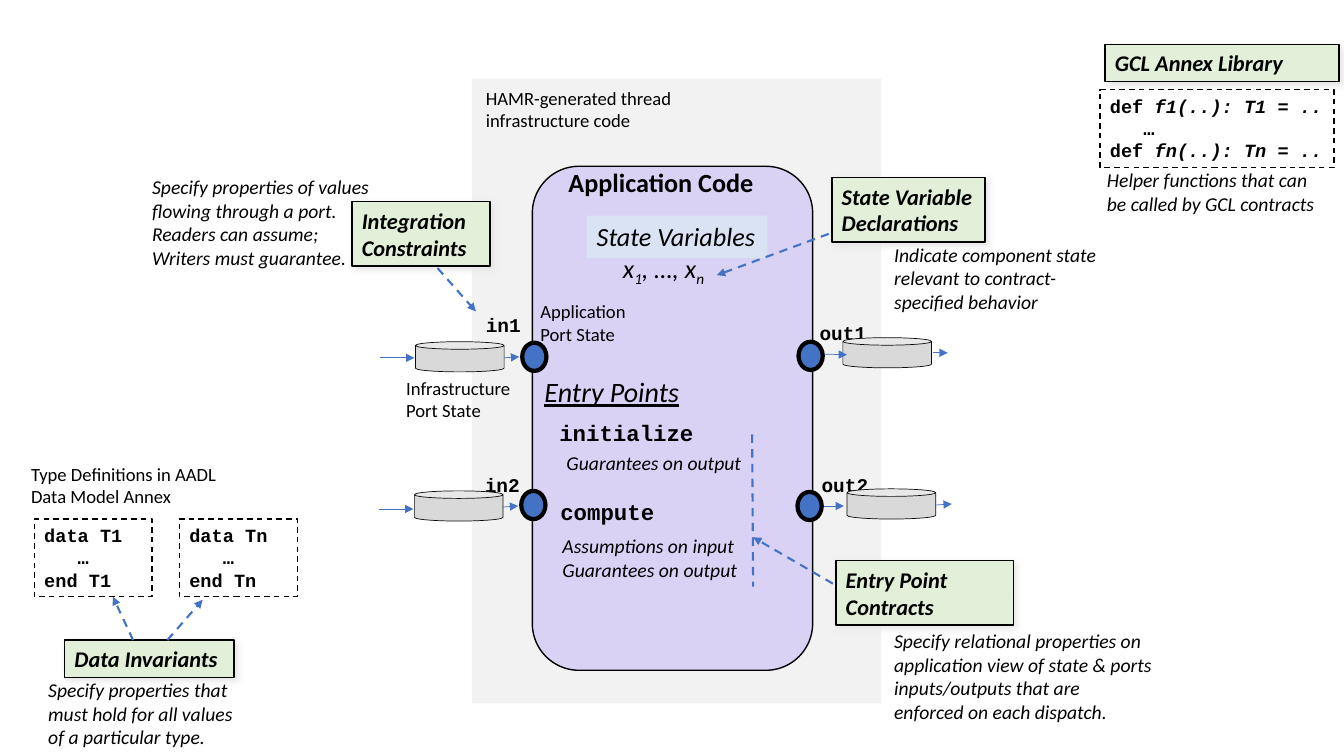
from pptx import Presentation
from pptx.dml.color import RGBColor
from pptx.enum.dml import MSO_LINE
from pptx.enum.shapes import MSO_CONNECTOR, MSO_SHAPE
from pptx.enum.text import MSO_ANCHOR, MSO_AUTO_SIZE, PP_ALIGN
from pptx.oxml.ns import qn
from pptx.util import Inches, Pt
from lxml import etree

RECT, ROUNDED = MSO_SHAPE.RECTANGLE, MSO_SHAPE.ROUNDED_RECTANGLE
OVAL, CAN = MSO_SHAPE.OVAL, MSO_SHAPE.CAN
STRAIGHT, DASH = MSO_CONNECTOR.STRAIGHT, MSO_LINE.DASH
LEFT, TOP, MIDDLE = PP_ALIGN.LEFT, MSO_ANCHOR.TOP, MSO_ANCHOR.MIDDLE
GROW = MSO_AUTO_SIZE.SHAPE_TO_FIT_TEXT

BLACK = RGBColor(0x00, 0x00, 0x00)
NEAR_BLACK = RGBColor(0x0D, 0x0D, 0x0D)
BLUE = RGBColor(0x44, 0x72, 0xC4)
PALE_BLUE = RGBColor(0xDA, 0xE3, 0xF3)
LILAC = RGBColor(0xDA, 0xD2, 0xF5)
GREEN = RGBColor(0xE2, 0xF0, 0xD9)
LIGHT_GRAY = RGBColor(0xF2, 0xF2, 0xF2)
PORT_GRAY = RGBColor(0xD9, 0xD9, 0xD9)
SHADOW_GRAY = RGBColor(0xE7, 0xE6, 0xE6)

SANS, MONO = "Calibri", "Courier New"
SUBSCRIPT = -25000


def write(para, text, font=SANS, size=14, bold=False, italic=False,
          underline=False, baseline=0):
    span = para.add_run()
    span.text = text
    span.font.name = font
    span.font.size = Pt(size)
    span.font.bold = bold
    span.font.italic = italic
    span.font.underline = underline
    span.font.color.rgb = BLACK
    if baseline:
        span.font._element.set("baseline", str(baseline))


class Diagram:
    def __init__(self, page):
        self.page = page

    def shape(self, kind, place, fill=None, line=None, width=1, dash=False):
        shape = self.page.shapes.add_shape(kind, *map(Inches, place))
        shape.shadow.inherit = False
        if fill is None:
            shape.fill.background()
        else:
            shape.fill.solid()
            shape.fill.fore_color.rgb = fill
        if line is None:
            shape.line.fill.background()
        else:
            shape.line.color.rgb = line
            shape.line.width = Pt(width)
            if dash:
                shape.line.dash_style = DASH
        return shape

    def fill_text(self, box, lines, wrap=True, anchor=TOP, **style):
        frame = box.text_frame
        frame.word_wrap = wrap
        frame.auto_size = GROW
        frame.vertical_anchor = anchor
        for index, line in enumerate(lines):
            para = frame.add_paragraph() if index else frame.paragraphs[0]
            para.alignment = LEFT
            spans = [(line, {})] if isinstance(line, str) else line
            for text, change in spans:
                write(para, text, **{**style, **change})

    def text(self, place, *lines, **style):
        box = self.page.shapes.add_textbox(*map(Inches, place))
        self.fill_text(box, lines, **style)

    def note(self, place, *lines, **style):
        self.text(place, *lines, italic=True, **style)

    def caption(self, place, *lines):
        self.text(place, *lines, size=13.3)

    def callout(self, place, title):
        box = self.shape(RECT, place, GREEN, BLACK)
        effects = box._element.spPr.find(qn("a:effectLst"))
        shadow = etree.SubElement(effects, qn("a:outerShdw"), blurRad=str(Pt(5)),
                                  dist=str(Pt(2.8)), dir="2700000", algn="tl")
        etree.SubElement(shadow, qn("a:srgbClr"), val=str(SHADOW_GRAY))
        self.fill_text(box, [title], anchor=MIDDLE, size=16, bold=True, italic=True)

    def code(self, place, *lines):
        box = self.shape(RECT, place, line=BLACK, dash=True)
        self.fill_text(box, lines, font=MONO, size=13.3, bold=True)

    def line(self, start, end, dash=False, arrow=True):
        line = self.page.shapes.add_connector(STRAIGHT, *map(Inches, start + end))
        line.line.color.rgb = BLUE
        line.line.width = Pt(1.5 if dash else 0.5)
        if dash:
            line.line.dash_style = DASH
        if arrow:
            etree.SubElement(line.line._get_or_add_ln(), qn("a:tailEnd"), type="triangle")
        etree.SubElement(line._element.spPr, qn("a:effectLst"))


def draw_component(diagram):
    diagram.shape(RECT, (4.68, 0.78, 4.06, 6.2), LIGHT_GRAY)
    diagram.shape(ROUNDED, (5.28, 1.65, 2.78, 5), LILAC, BLACK)
    diagram.text((5.54, 1.6, 2.53, 0.42), "Application Code", size=18.7, bold=True)
    lower = {"baseline": SUBSCRIPT}
    diagram.note((6.08, 2.45, 1.04, 0.42),
                 [("x", {}), ("1", lower), (", …, x", {}), ("n", lower)],
                 size=18.7, wrap=False)
    variables = diagram.shape(RECT, (5.82, 2.14, 1.79, 0.42), PALE_BLUE)
    diagram.fill_text(variables, ["State Variables"], wrap=False, size=18.7, italic=True)


def draw_ports(diagram):
    for name, left, top, width in (("in1", 4.72, 2.83, 0.61), ("in2", 4.71, 4.42, 0.61),
                                   ("out1", 8.03, 2.91, 0.74), ("out2", 8.05, 4.42, 0.74)):
        diagram.text((left, top, width, 0.37), name, font=MONO, size=24, bold=True,
                     baseline=SUBSCRIPT, wrap=False)
    for left, top in ((4.12, 3.39), (4.11, 4.87), (8.36, 3.35), (8.4, 4.85)):
        diagram.shape(CAN, (left, top, 0.88, 0.3), PORT_GRAY, NEAR_BLACK, 0.5)
    for start, end in (((5, 3.55), (5.15, 3.54)), ((4.99, 5.03), (5.14, 5.02)),
                       ((9.25, 3.5), (9.4, 3.5)), ((9.28, 5.01), (9.44, 5)),
                       ((8.06, 3.51), (8.4, 3.52)), ((8.02, 5.02), (8.37, 5.02)),
                       ((3.77, 3.55), (4.11, 3.55)), ((3.76, 5.05), (4.1, 5.05))):
        diagram.line(start, end)
    for left, top in ((5.17, 4.87), (5.18, 3.4), (7.92, 3.39), (7.91, 4.88)):
        diagram.shape(OVAL, (left, top, 0.24, 0.28), BLUE, BLACK, 3)
    diagram.caption((3.93, 3.69, 1.39, 0.55), "Infrastructure", "Port State")
    diagram.caption((5.26, 2.93, 1.39, 0.55), "Application", "Port State")
    diagram.caption((4.72, 0.81, 2.23, 0.55), "HAMR-generated thread infrastructure code")


def draw_entry_points(diagram):
    diagram.note((5.3, 3.67, 1.78, 0.44), "Entry Points", size=20, underline=True)
    for name, left, top in (("initialize", 5.45, 4.11), ("compute", 5.46, 4.89)):
        diagram.text((left, top, 1.57, 0.37), name, font=MONO, size=16, bold=True)
    diagram.note((5.52, 4.42, 1.95, 0.34), "Guarantees on output", wrap=False)
    diagram.note((5.48, 5.25, 1.95, 0.57), "Assumptions on input",
                 "Guarantees on output", wrap=False)
    diagram.line((7.46, 4.31), (7.47, 5.82), dash=True, arrow=False)


def draw_contracts(diagram):
    for title, place in (("Integration Constraints", (3.49, 2, 1.37, 0.64)),
                         ("Entry Point Contracts", (8.29, 5.56, 1.76, 0.64)),
                         ("Data Invariants", (0.64, 6.35, 1.68, 0.37)),
                         ("State Variable Declarations", (8.25, 1.76, 1.52, 0.64)),
                         ("GCL Annex Library", (10.96, 0.44, 2.32, 0.37))):
        diagram.callout(place, title)
    for start, end in (((1.32, 6.35), (1.12, 5.92)), ((1.66, 6.35), (2.01, 5.95)),
                       ((4.34, 2.66), (4.72, 3.09)), ((8.26, 5.79), (7.47, 5.33)),
                       ((8.22, 2.32), (7.11, 2.73))):
        diagram.line(start, end, dash=True)
    for place, text in (
            ((1.41, 1.69, 2.38, 1.04), "Specify properties of values flowing through a port. "
             "Readers can assume; Writers must guarantee."),
            ((0.38, 6.68, 2.09, 0.81), "Specify properties that must hold for all values "
             "of a particular type."),
            ((8.77, 2.36, 2.32, 0.81), "Indicate component state relevant to "
             "contract-specified behavior"),
            ((8.77, 6.19, 2.77, 1.04), "Specify relational properties on application view of "
             "state & ports inputs/outputs that are enforced on each dispatch."),
            ((10.88, 1.62, 2.32, 0.57), "Helper functions that can be called by "
             "GCL contracts")):
        diagram.note(place, text)


def draw_definitions(diagram):
    diagram.caption((0.21, 4.54, 2.23, 0.55), "Type Definitions in AADL Data Model Annex")
    for name, left in (("T1", 0.34), ("Tn", 1.78)):
        diagram.code((left, 5.15, 1.17, 0.77), f"data {name}", "   …", f"end {name}")
    slanted = {"italic": True}
    diagram.code((10.91, 0.89, 2.32, 0.77),
                 [("def ", {}), ("f1(..): T1 = ..", slanted)],
                 "   …",
                 [("def ", {}), ("fn(..): Tn = ..", slanted)])


def main():
    deck = Presentation()
    deck.slide_width, deck.slide_height = Inches(13.33), Inches(7.5)
    diagram = Diagram(deck.slides.add_slide(deck.slide_layouts[6]))
    draw_component(diagram)
    draw_ports(diagram)
    draw_entry_points(diagram)
    draw_contracts(diagram)
    draw_definitions(diagram)
    deck.save("out.pptx")


if __name__ == "__main__":
    main()
